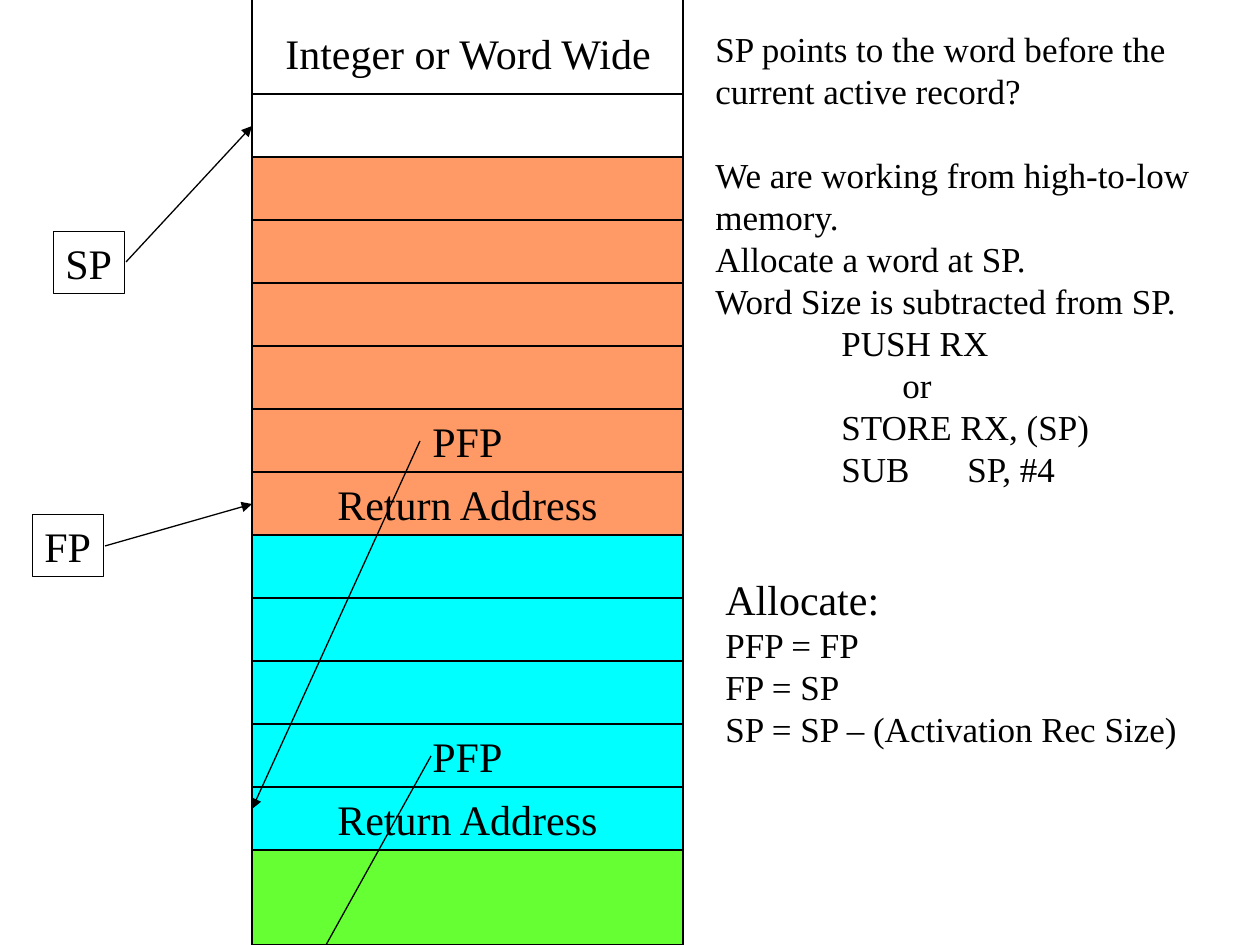
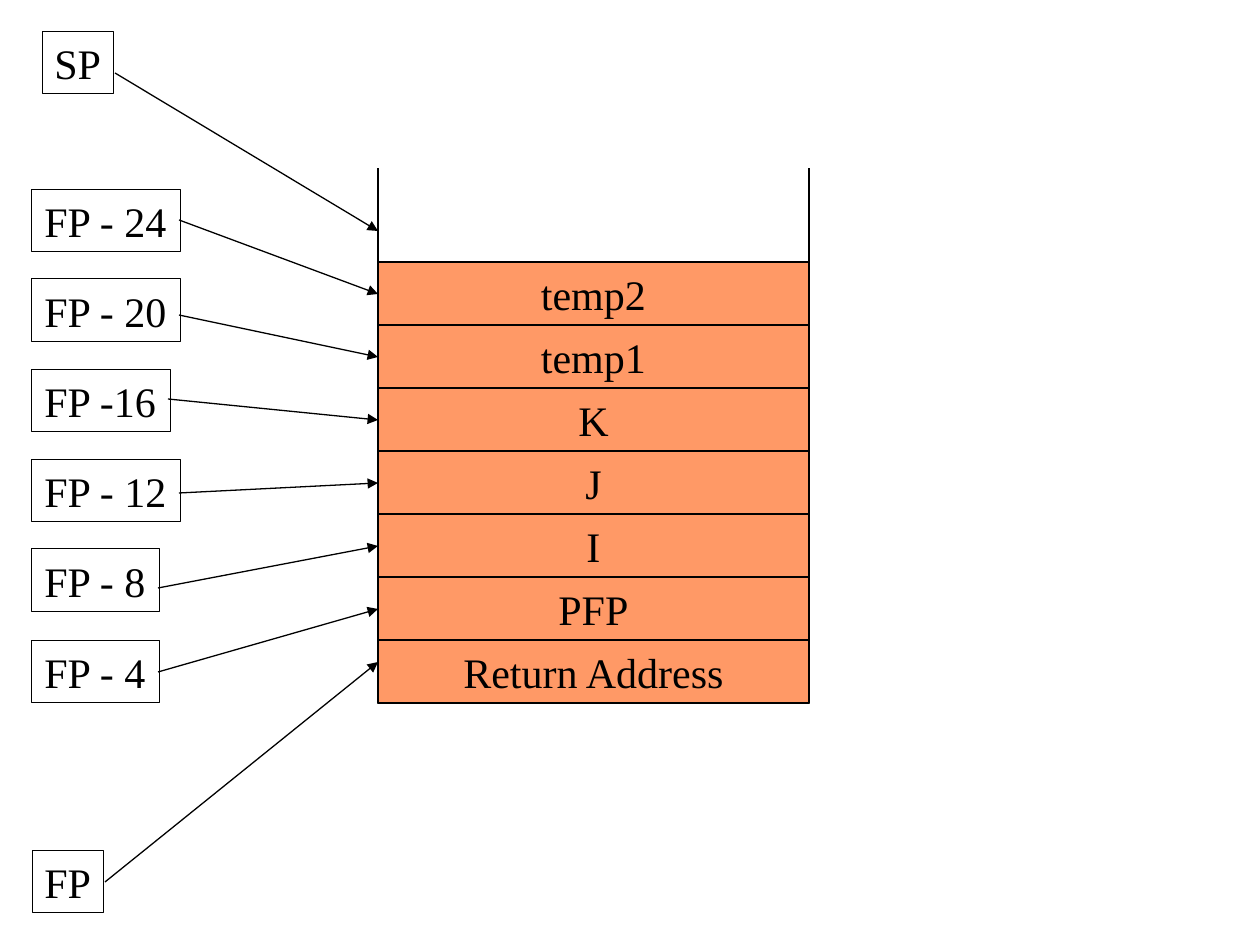
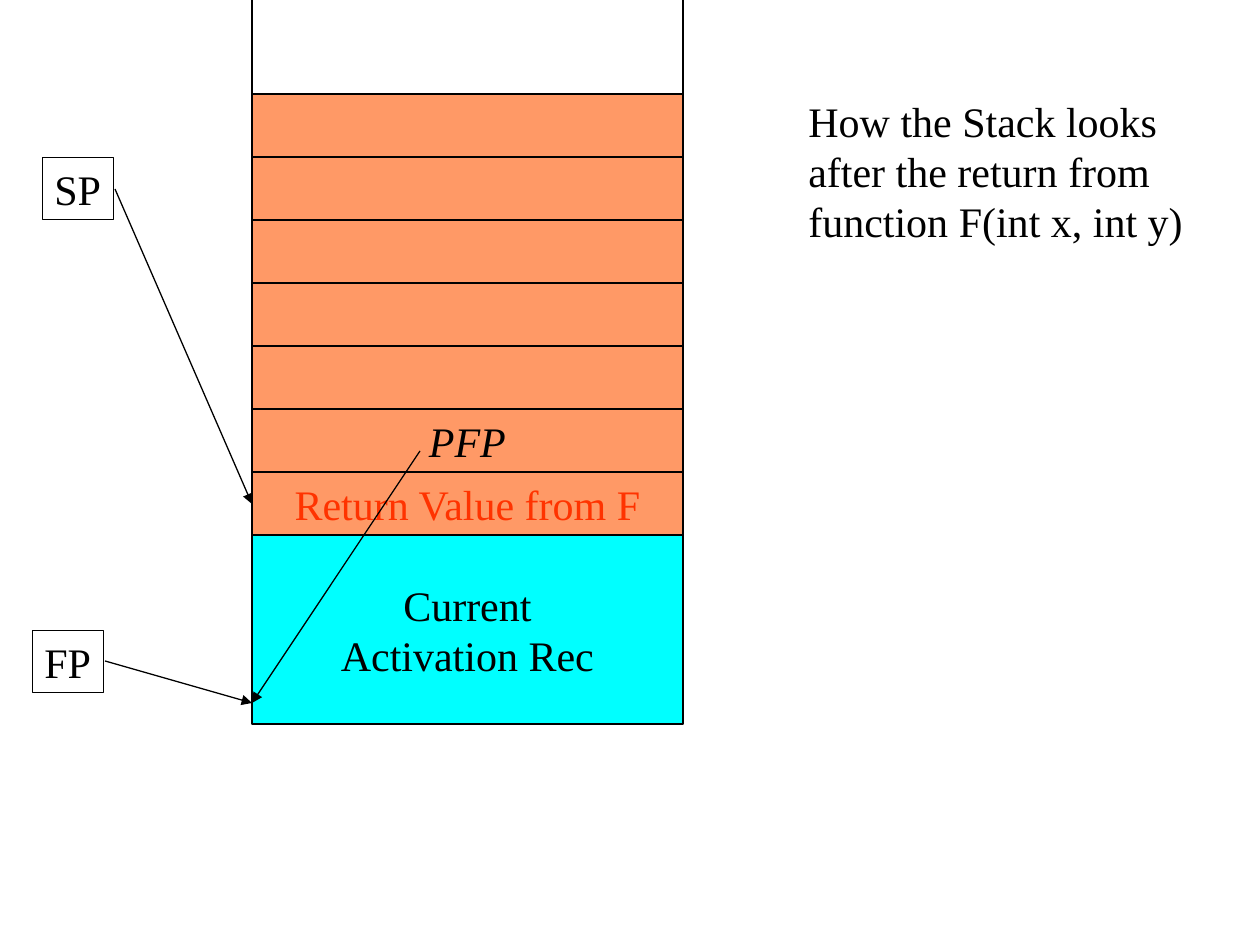
"""Builds three slides on stack frames, stack pointers and activation records."""
from dataclasses import dataclass
from typing import NamedTuple, Optional

from lxml.etree import SubElement
from pptx import Presentation
from pptx.dml.color import RGBColor
from pptx.enum.shapes import MSO_CONNECTOR as Link, MSO_SHAPE as Preset
from pptx.enum.text import MSO_ANCHOR as Anchor, PP_ALIGN as Align
from pptx.oxml.ns import qn
from pptx.util import Emu, Pt

PX_PER_INCH = 126
ROW_HEIGHT = 63
STACK_WIDTH = 431
LABEL_WIDTH = 72


@dataclass(frozen=True)
class Theme:
    """Colours, font and sizes shared by the slides."""
    font: str = "Times New Roman"
    ink: str = "000000"
    callee: str = "FF9966"
    caller: str = "00FFFF"
    base: str = "66FF33"
    returned: str = "FF3300"
    large: int = 24
    small: int = 20
    stack_line: float = 0.75
    label_line: float = 0.5


THEME = Theme()


class Point(NamedTuple):
    """A place on the slide in px."""
    x: int
    y: int


class Box(NamedTuple):
    """A rectangle on the slide in px."""
    left: int
    top: int
    width: int
    height: int


@dataclass(frozen=True)
class Line:
    """One paragraph, with its indent, tab stop and gap after it."""
    text: str
    size: int = THEME.large
    indent: int = 0
    tab: int = 0
    after: int = 0


@dataclass(frozen=True)
class Word:
    """One word of stack memory."""
    text: str = ""
    color: str = THEME.ink
    italic: bool = False


@dataclass(frozen=True)
class Record:
    """A coloured activation record and the words in it, top down."""
    left: int
    top: int
    fill: str
    words: tuple[Word, ...]


@dataclass(frozen=True)
class Pointer:
    """A boxed register name and the arrow to the word it points to."""
    name: str
    left: int
    top: int
    start: Point
    target: Point
    width: int = LABEL_WIDTH


def px(length: int) -> Emu:
    """Turn px into EMU."""
    return Emu(round(length * 914400 / PX_PER_INCH))


def write(shape, lines: list[Line], *, color: str = THEME.ink, italic: bool = False,
          align=Align.LEFT, anchor=Anchor.TOP, wrap: bool = False) -> None:
    """Fill a shape with formatted paragraphs."""
    frame = shape.text_frame
    frame.word_wrap = wrap
    frame.vertical_anchor = anchor
    for index, line in enumerate(lines):
        paragraph = frame.add_paragraph() if index else frame.paragraphs[0]
        paragraph.alignment = align
        if line.after:
            paragraph.space_after = Pt(line.after)
        properties = paragraph._p.get_or_add_pPr()
        if line.indent:
            properties.set("marL", str(px(line.indent)))
            properties.set("indent", "0")
        if line.tab:
            stops = SubElement(properties, qn("a:tabLst"))
            SubElement(stops, qn("a:tab"), pos=str(px(line.tab)), algn="l")
        run = paragraph.add_run()
        run.text = line.text
        font = run.font
        font.name, font.size, font.italic = THEME.font, Pt(line.size), italic
        font.color.rgb = RGBColor.from_string(color)


def add_box(slide, box: Box, *, fill: Optional[str] = None,
            weight: float = THEME.stack_line):
    """Draw an outlined rectangle."""
    rectangle = slide.shapes.add_shape(Preset.RECTANGLE, *map(px, box))
    rectangle.shadow.inherit = False
    if fill:
        rectangle.fill.solid()
        rectangle.fill.fore_color.rgb = RGBColor.from_string(fill)
    else:
        rectangle.fill.background()
    rectangle.line.color.rgb = RGBColor.from_string(THEME.ink)
    rectangle.line.width = Pt(weight)
    return rectangle


def add_line(slide, start: Point, end: Point, *, arrow: bool = False) -> None:
    """Draw a straight line, with an arrowhead at its end if asked."""
    link = slide.shapes.add_connector(Link.STRAIGHT, *map(px, (*start, *end)))
    link.line.color.rgb = RGBColor.from_string(THEME.ink)
    link.line.width = Pt(THEME.stack_line)
    if arrow:
        SubElement(link.line._get_or_add_ln(), qn("a:tailEnd"), type="triangle")
    SubElement(link._element.spPr, qn("a:effectLst"))


def add_text(slide, box: Box, lines: list[Line], *, wrap: bool = False) -> None:
    """Place free text."""
    write(slide.shapes.add_textbox(*map(px, box)), lines, wrap=wrap)


def add_record(slide, record: Record) -> None:
    """Draw a record's band and a frame for each word."""
    height = ROW_HEIGHT * len(record.words)
    add_box(slide, Box(record.left, record.top, STACK_WIDTH, height), fill=record.fill)
    for row, word in enumerate(record.words):
        top = record.top + row * ROW_HEIGHT
        cell = add_box(slide, Box(record.left, top, STACK_WIDTH, ROW_HEIGHT))
        if word.text:
            write(cell, [Line(word.text)], color=word.color, italic=word.italic,
                  align=Align.CENTER, anchor=Anchor.MIDDLE)


def add_walls(slide, left: int, top: int, left_end: int, right_end: int) -> None:
    """Draw the open sides of the stack above its records."""
    right = left + STACK_WIDTH
    add_line(slide, Point(left, left_end), Point(left, top))
    add_line(slide, Point(right, right_end), Point(right, top))


def add_pointer(slide, pointer: Pointer) -> None:
    """Draw a register label and its arrow."""
    box = Box(pointer.left, pointer.top, pointer.width, ROW_HEIGHT)
    write(add_box(slide, box, weight=THEME.label_line), [Line(pointer.name)])
    add_line(slide, pointer.start, pointer.target, arrow=True)


def build_allocation(slide) -> None:
    """Show how a new activation record is allocated."""
    left = 252
    saved = (Word("PFP"), Word("Return Address"))
    add_record(slide, Record(left, 535, THEME.caller, (Word(),) * 3 + saved))
    add_record(slide, Record(left, 157, THEME.callee, (Word(),) * 4 + saved))
    add_box(slide, Box(left, 94, STACK_WIDTH, ROW_HEIGHT))
    add_box(slide, Box(left, 850, STACK_WIDTH, 95), fill=THEME.base)
    add_walls(slide, left, 0, 157, 157)
    add_line(slide, Point(420, 441), Point(left, 809), arrow=True)
    add_line(slide, Point(431, 756), Point(326, 945))
    add_pointer(slide, Pointer("SP", 53, 231, Point(126, 262), Point(left, 126)))
    add_pointer(slide, Pointer("FP", 32, 514, Point(105, 546), Point(left, 504)))
    add_text(slide, Box(273, 21, 397, 63), [Line("Integer or Word Wide")])
    small = THEME.small
    add_text(slide, Box(703, 21, 557, 559), [
        Line("SP points to the word before the current active record?", small, after=24),
        Line("We are working from high-to-low", small),
        Line("memory.", small),
        Line("Allocate a word at SP.", small),
        Line("Word Size is subtracted from SP.", small),
        Line("PUSH RX", small, indent=126),
        Line("or", small, indent=187),
        Line("STORE RX, (SP)", small, indent=126),
        Line("SUB\tSP, #4", small, indent=126, tab=246),
    ], wrap=True)
    add_text(slide, Box(713, 567, 488, 189), [
        Line("Allocate:"),
        Line("PFP = FP", small),
        Line("FP = SP", small),
        Line("SP = SP – (Activation Rec Size)", small),
    ])


def build_offsets(slide) -> None:
    """Show the offset of each word from the frame pointer."""
    left, top = 378, 262
    names = ("temp2", "temp1", "K", "J", "I", "PFP", "Return Address")
    add_record(slide, Record(left, top, THEME.callee, tuple(map(Word, names))))
    add_walls(slide, left, 168, 273, 294)
    add_pointer(slide, Pointer("SP", 42, 31, Point(115, 73), Point(left, 231)))
    offsets = (
        ("FP - 24", 149, Point(179, 220)),
        ("FP - 20", 149, Point(179, 315)),
        ("FP -16", 139, Point(168, 399)),
        ("FP - 12", 149, Point(179, 493)),
        ("FP - 8", 128, Point(158, 588)),
        ("FP - 4", 128, Point(158, 672)),
    )
    for row, (name, width, start) in enumerate(offsets):
        target = Point(left, 294 + row * ROW_HEIGHT)
        add_pointer(slide, Pointer(name, 32, 189 + row * 451 // 5, start, target, width))
    add_pointer(slide, Pointer("FP", 32, 850, Point(105, 882), Point(left, 662)))


def build_return(slide) -> None:
    """Show the stack after a function returns."""
    left = 252
    add_record(slide, Record(left, 94, THEME.callee, (Word(),) * 5 + (
        Word("PFP", italic=True), Word("Return Value from F", THEME.returned))))
    current = add_box(slide, Box(left, 535, STACK_WIDTH, 3 * ROW_HEIGHT), fill=THEME.caller)
    write(current, [Line("Current"), Line("Activation Rec")],
          align=Align.CENTER, anchor=Anchor.MIDDLE)
    add_walls(slide, left, 0, 105, 126)
    add_pointer(slide, Pointer("SP", 42, 157, Point(115, 189), Point(left, 504)))
    add_pointer(slide, Pointer("FP", 32, 630, Point(105, 661), Point(left, 703)))
    add_line(slide, Point(420, 451), Point(left, 703), arrow=True)
    add_text(slide, Box(796, 89, 412, 164), [
        Line("How the Stack looks after the return from function F(int x, int y)"),
    ], wrap=True)


def main() -> None:
    """Build and save the deck."""
    deck = Presentation()
    deck.slide_width, deck.slide_height = px(1260), px(945)
    for build in (build_allocation, build_offsets, build_return):
        build(deck.slides.add_slide(deck.slide_layouts[6]))
    deck.save("out.pptx")


if __name__ == "__main__":
    main()
